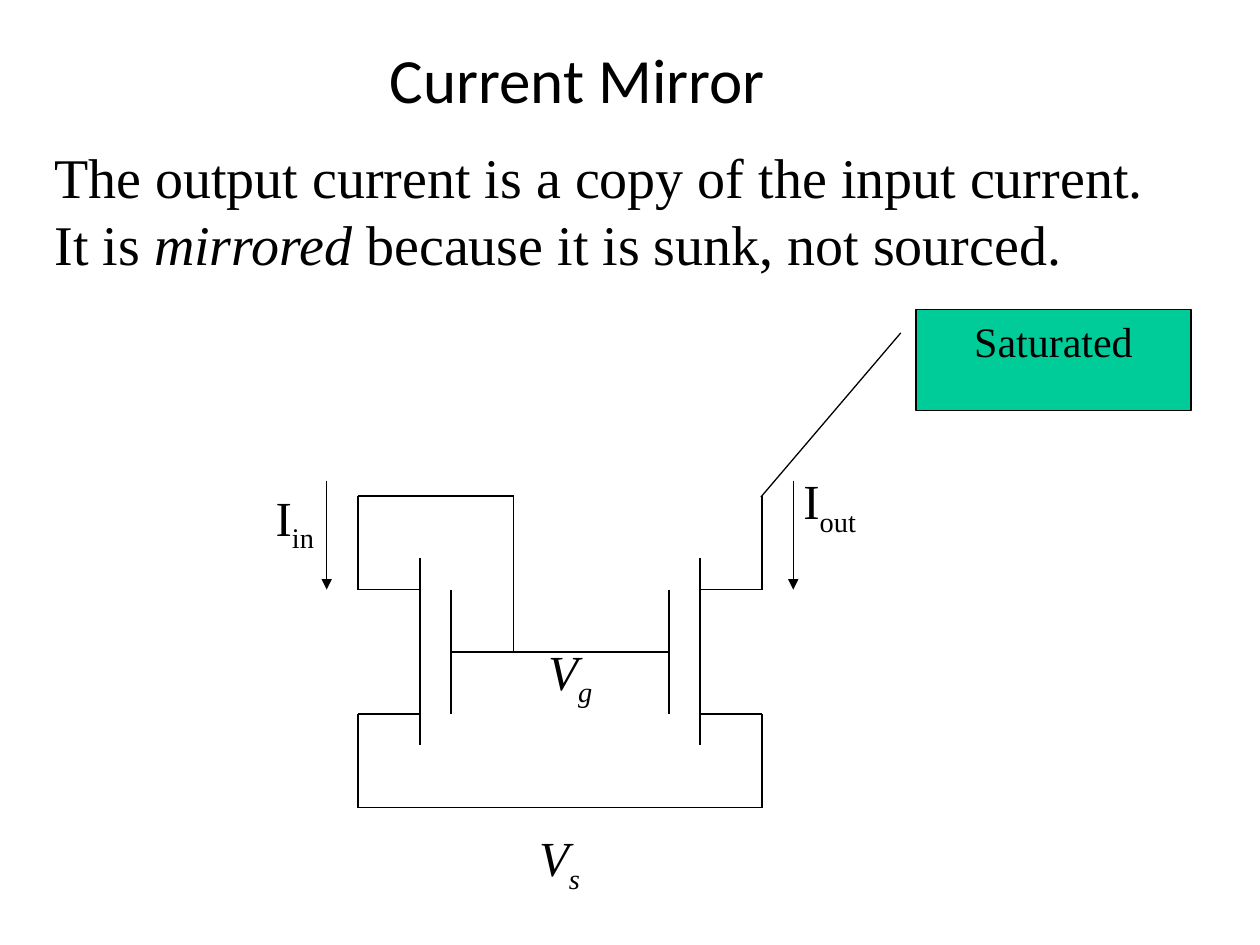
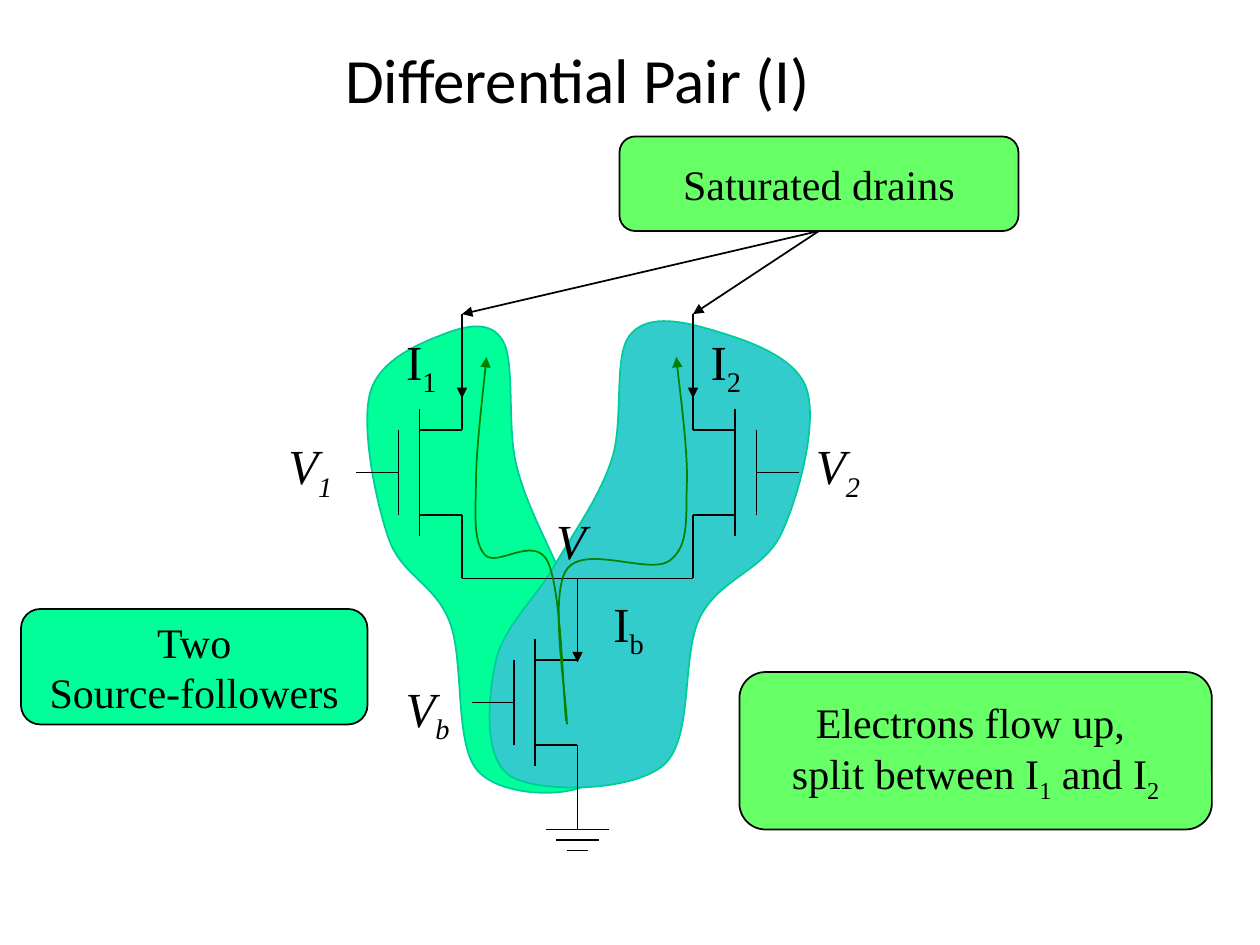
"""Two circuit slides: a current mirror and a differential pair."""
from lxml import etree
from pptx import Presentation, util as u
from pptx.dml.color import RGBColor
from pptx.enum import shapes, text
from pptx.oxml.ns import qn

BLACK, TEAL, MINT, LIME, AQUA, GREEN = "000000", "00CC99", "00FF99", "66FF66", "33CCCC", "008000"
SERIF, SANS = "Times New Roman", "Calibri"
LEFT, CENTER, RIGHT = text.PP_ALIGN.LEFT, text.PP_ALIGN.CENTER, text.PP_ALIGN.RIGHT
MIDDLE = text.MSO_ANCHOR.MIDDLE
TITLE_BOX = (24, 0, 612, 90)

TRANSISTOR = ["00 03", "03 23", "22 28", "27 07", "07 0A", "33 37", "35 55"]

MIRROR = {
    "title": "Current Mirror", "unit": 17.8, "drains": (204.5, 435.5), "top": 283.5, "sides": (1, -1),
    "label_size": (70, 60),
    "labels": [("V_g", 345.5, 363, RIGHT), ("V_s", 338.5, 469.5, RIGHT),
               ("I_in", 186.5, 275, RIGHT), ("I_out", 522, 265.5, LEFT)],
}
STATEMENT = ["The output current is a copy of the input current.",
             "It is *mirrored* because it is sunk, not sourced."]
STATEMENT_BOX = (24, 78, 648, 84)
CALLOUT_BOX, CALLOUT_LEADER = (523.5, 177, 157, 57.5), (0.231, -0.056, 1.862, -0.565)

PAIR = {
    "title": "Differential Pair (I)", "unit": 12.1, "drains": (264, 396), "top": 209.5, "sides": (-1, 1),
    "label_size": (48, 41),
    "labels": [("V_1", 197, 245.5, RIGHT), ("V_2", 498.5, 245.5, RIGHT), ("V_b", 264, 384, RIGHT),
               ("V", 342, 288, RIGHT), ("I_1", 256.5, 186, RIGHT), ("I_2", 430.5, 186, RIGHT),
               ("I_b", 375, 335.5, RIGHT)],
}
FOLLOWER = [(338.5, 446.5), (273, 440.5), (257, 355.5), (222, 307.5), (211.5, 224.5), (253.5, 191),
            (287.5, 195), (295, 265.5), (319.5, 326), (345, 381.5)]
FOLLOWER_LEFT, OTHER_RIGHT, OTHER_STRETCH, OTHER_RISE = 206, 468, 1.33, 3
FLOWS = [[(323.5, 412), (313, 321), (277, 317), (272, 274.5), (278, 204)],
         [(324, 414), (323.5, 326), (382.5, 320.5), (392.5, 276.5), (386.5, 204)]]
NOTES = [(LIME, (354, 78, 228, 54), ["Saturated drains"]),
         (LIME, (422.5, 384, 270, 90), ["Electrons flow up, ", "split between I_1_ and I_2"]),
         (MINT, (12, 348, 198, 66), ["Two", "Source-followers"])]
POINTER_START = (468, 132)
BIAS_X, BIAS_TOP, GROUND_Y = 330, 341, 474


def rgb(value):
    """Turn a hex string into a colour."""
    return RGBColor.from_string(value)


def pts(values):
    """Turn numbers into point lengths."""
    return [u.Pt(value) for value in values]


def write(shape, lines, size, align, font=SERIF, italic=False, **frame_format):
    """Fill a shape with lines where stars mark italics and underscores mark subscripts."""
    frame = shape.text_frame
    for name, value in {"word_wrap": True, **frame_format}.items():
        setattr(frame, name, value)
    for index, line in enumerate(lines):
        paragraph = frame.add_paragraph() if index else frame.paragraphs[0]
        paragraph.alignment = align
        for star, phrase in enumerate(line.split("*")):
            for level, words in enumerate(phrase.split("_")):
                run = paragraph.add_run()
                run.text = words
                look = {"name": font, "size": u.Pt(size), "italic": italic or star % 2 == 1}
                for name, value in look.items():
                    setattr(run.font, name, value)
                run.font.color.rgb = rgb(BLACK)
                if level % 2:
                    run._r.get_or_add_rPr().set("baseline", "-25000")


def outline(shape, color, width, arrow=False):
    """Set the line of a shape or connector."""
    shape.line.color.rgb = rgb(color)
    shape.line.width = u.Pt(width)
    if arrow:
        etree.SubElement(shape._element.spPr.find(qn("a:ln")), qn("a:tailEnd"), type="triangle")


def wire(slide, start, end, width=1, arrow=False):
    """Draw a straight wire between two points."""
    connector = slide.shapes.add_connector(shapes.MSO_CONNECTOR.STRAIGHT, *pts(start + end))
    outline(connector, BLACK, width, arrow)
    etree.SubElement(connector._element.spPr, qn("a:effectLst"))


def transistor(slide, drain_x, top, side, unit):
    """Draw a transistor from its grid steps, its gate on the given side of the drain."""
    for segment in TRANSISTOR:
        wire(slide, *[(drain_x + side * unit * int(x, 16), top + unit * int(y, 16))
                      for x, y in segment.split()])


def curve(slide, knots, color, fill=None):
    """Draw a smooth curve through the knots, closed when it has a fill."""
    if fill:
        chain = [knots[-1], *knots, *knots[:2]]
    else:
        chain = [knots[0], *knots, knots[-1]]
    bends = []
    for before, start, end, after in zip(chain, chain[1:], chain[2:], chain[3:]):
        bends.append([s + (e - b) / 6 for b, s, e in zip(before, start, end)])
        bends.append([e - (a - s) / 6 for s, e, a in zip(start, end, after)])
        bends.append(end)
    builder = slide.shapes.build_freeform(*pts(knots[0]))
    builder.add_line_segments([pts(bend) for bend in bends], close=fill is not None)
    shape = builder.convert_to_shape()
    outlines = next(shape._element.iter(qn("a:path")))
    steps = outlines.findall(qn("a:lnTo"))
    for trio in zip(steps[::3], steps[1::3], steps[2::3]):
        bezier = etree.Element(qn("a:cubicBezTo"))
        trio[0].addprevious(bezier)
        for step in trio:
            bezier.append(step[0])
            outlines.remove(step)
    if fill:
        shape.fill.solid()
        shape.fill.fore_color.rgb = rgb(fill)
    else:
        shape.fill.background()
    outline(shape, color, 1, arrow=fill is None)
    shape.shadow.inherit = False


def panel(slide, kind, box, fill, lines, width, **frame_format):
    """Add a filled preset shape with centred text."""
    shape = slide.shapes.add_shape(kind, *pts(box))
    shape.shadow.inherit = False
    shape.fill.solid()
    shape.fill.fore_color.rgb = rgb(fill)
    outline(shape, BLACK, width)
    write(shape, lines, 24, CENTER, **frame_format)
    return shape


def circuit(deck, content, regions=()):
    """Add a slide with its title, regions, labels and two facing transistors."""
    slide = deck.slides.add_slide(deck.slide_layouts[5])
    title = slide.shapes.title
    for name, value in zip(("left", "top", "width", "height"), pts(TITLE_BOX)):
        setattr(title, name, value)
    write(title, [content["title"]], 36, CENTER, SANS, vertical_anchor=MIDDLE)
    for fill, knots in regions:
        curve(slide, knots, TEAL, fill)
    width, height = content["label_size"]
    for label, right, top, align in content["labels"]:
        box = slide.shapes.add_textbox(*pts((right - width, top, width, height)))
        write(box, [label], 28, align, italic=label.startswith("V"))
    for drain_x, side in zip(content["drains"], content["sides"]):
        transistor(slide, drain_x, content["top"], side, content["unit"])
    return slide


def draw_mirror(deck):
    """Build the current mirror slide."""
    slide = circuit(deck, MIRROR)
    (left, right), top, unit = MIRROR["drains"], MIRROR["top"], MIRROR["unit"]
    gate_left, gate_right = left + 5 * unit, right - 5 * unit
    gate_y, source_y = top + 5 * unit, top + 10 * unit
    wire(slide, (gate_left, gate_y), (gate_right, gate_y))
    wire(slide, (gate_left, gate_y), (gate_left, top))
    wire(slide, (left, top), (gate_left, top))
    wire(slide, (left, source_y), (right, source_y))
    for x in (left - unit, right + unit):
        wire(slide, (x, top - unit / 2), (x, top + 3 * unit), 0.75, True)
    write(slide.shapes.add_textbox(*pts(STATEMENT_BOX)), STATEMENT, 32, LEFT)
    callout = panel(slide, shapes.MSO_SHAPE.LINE_CALLOUT_1, CALLOUT_BOX, TEAL, ["Saturated"], 0.75,
                    vertical_anchor=text.MSO_ANCHOR.TOP)
    for index, value in enumerate(CALLOUT_LEADER):
        callout.adjustments[index] = value


def draw_pair(deck):
    """Build the differential pair slide."""
    other = [(OTHER_RIGHT - (x - FOLLOWER_LEFT) * OTHER_STRETCH, y - OTHER_RISE) for x, y in FOLLOWER]
    slide = circuit(deck, PAIR, [(MINT, FOLLOWER), (AQUA, other)])
    (left, right), top, unit = PAIR["drains"], PAIR["top"], PAIR["unit"]
    transistor(slide, BIAS_X, BIAS_TOP, -1, unit)
    joint_y = top + 10 * unit
    wire(slide, (left, joint_y), (right, joint_y), 0.75)
    wire(slide, (BIAS_X, joint_y), (BIAS_X, joint_y + 18), 0.75)
    wire(slide, (BIAS_X, joint_y + 6), (BIAS_X, joint_y + 48), 0.75, True)
    wire(slide, (BIAS_X, GROUND_Y - 12), (BIAS_X, GROUND_Y))
    for row in range(3):
        half, y = 6 * (3 - row), GROUND_Y + 6 * row
        wire(slide, (BIAS_X - half, y), (BIAS_X + half, y))
    for fill, box, lines in NOTES:
        panel(slide, shapes.MSO_SHAPE.ROUNDED_RECTANGLE, box, fill, lines, 1,
              word_wrap=False, vertical_anchor=MIDDLE)
    for x in (left, right):
        wire(slide, (x, top - 30), (x, top + 18), 0.75, True)
        wire(slide, POINTER_START, (x, top - 30), 1, True)
    for knots in FLOWS:
        curve(slide, knots, GREEN)


deck = Presentation()
deck.slide_width, deck.slide_height = pts((720, 540))
draw_mirror(deck)
draw_pair(deck)
deck.save("out.pptx")
